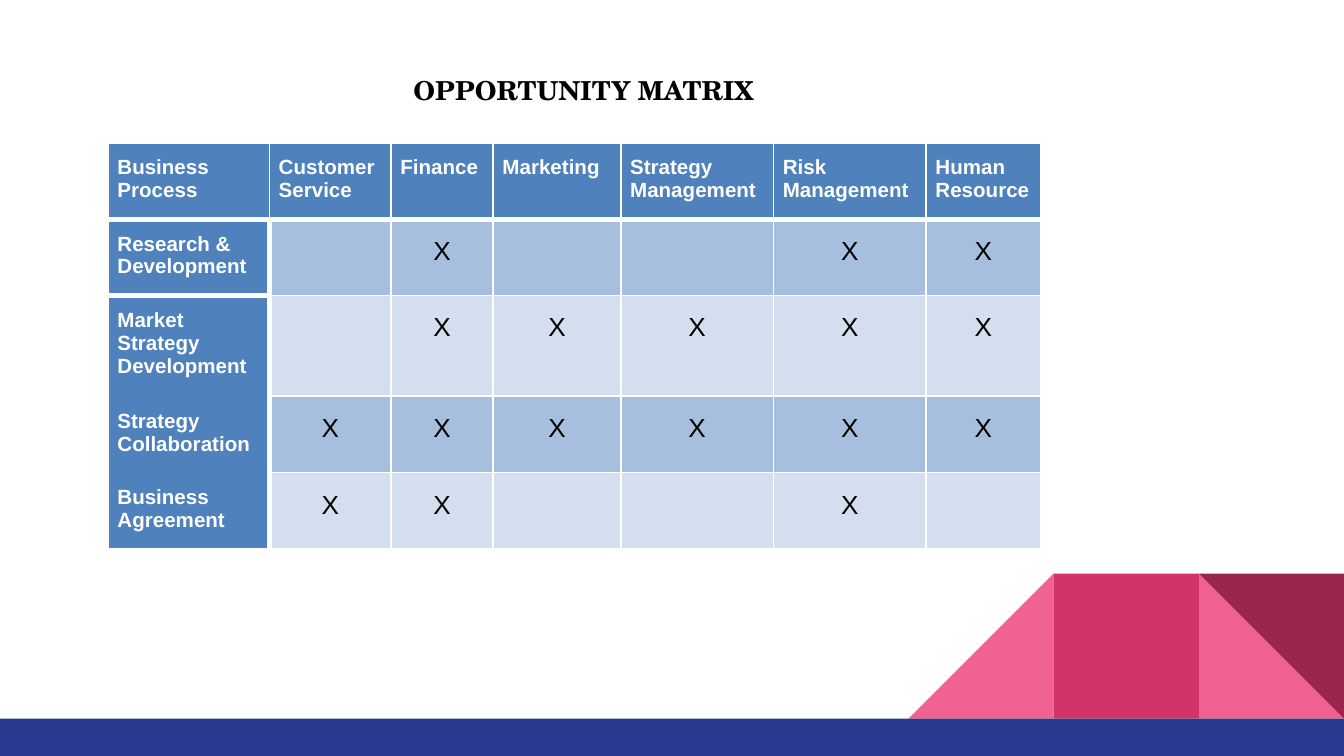
from dataclasses import dataclass
from typing import Optional

from lxml import etree
from pptx import Presentation
from pptx.dml.color import RGBColor
from pptx.enum import shapes, text
from pptx.oxml import ns
from pptx.util import Pt


@dataclass(frozen=True)
class Theme:
    """Colours, fonts and type sizes of the slide."""
    white: str = "FFFFFF"
    black: str = "000000"
    header: str = "4F81BD"
    bands: tuple[str, str] = ("A7BFDE", "D3DFEE")
    light_pink: str = "F06292"
    pink: str = "D23369"
    maroon: str = "9C254D"
    navy: str = "2A3990"
    title_font: str = "TeX Gyre Schola"
    body_font: str = "Arial"
    title_size: float = 14
    header_size: float = 11
    mark_size: float = 14
    thin: float = 1
    thick: float = 3


@dataclass(frozen=True)
class Block:
    """A plain decorative shape."""
    kind: shapes.MSO_SHAPE
    left: float
    top: float
    width: float
    height: float
    color: str
    rotation: float = 0


@dataclass(frozen=True)
class Process:
    """A table row: its name, height and one mark per department."""
    name: str
    height: float
    marks: str


THEME = Theme()
TILE, TILE_TOP, TILE_LEFT = 77.75, 307.25, 486.75
TRIANGLE, RECTANGLE = shapes.MSO_SHAPE.RIGHT_TRIANGLE, shapes.MSO_SHAPE.RECTANGLE


def tile(kind: shapes.MSO_SHAPE, column: int, color: str, rotation: float = 0) -> Block:
    """Return a square block in the given column of the corner ornament."""
    return Block(kind, TILE_LEFT + column * TILE, TILE_TOP, TILE, TILE, color, rotation)


BLOCKS = [
    tile(TRIANGLE, 2, THEME.light_pink),
    tile(TRIANGLE, 0, THEME.light_pink, 270),
    tile(RECTANGLE, 1, THEME.pink),
    tile(TRIANGLE, 2, THEME.maroon, 180),
    Block(RECTANGLE, 0, 385, 720, 20, THEME.navy),
]
HEADINGS = ["Business Process", "Customer Service", "Finance", "Marketing",
            "Strategy Management", "Risk Management", "Human Resource"]
COLUMN_WIDTHS = [86.4, 65.2, 54.7, 68.4, 81.8, 81.8, 61.4]
HEADER_HEIGHT = 38.8
PROCESSES = [
    Process("Research & Development", 38.8, "-X--XX"),
    Process("Market Strategy Development", 51.2, "-XXXXX"),
    Process("Strategy Collaboration", 38.8, "XXXXXX"),
    Process("Business Agreement", 38.8, "XX--X-"),
]


def style(paragraph, font: str, size: float, color: str, bold: bool) -> None:
    """Set the font of a paragraph."""
    paragraph.font.name = font
    paragraph.font.size = Pt(size)
    paragraph.font.bold = bold
    paragraph.font.color.rgb = RGBColor.from_string(color)


def draw_block(slide, block: Block) -> None:
    """Draw a decorative shape without outline or shadow."""
    shape = slide.shapes.add_shape(block.kind, Pt(block.left), Pt(block.top),
                                   Pt(block.width), Pt(block.height))
    shape.rotation = block.rotation
    shape.shadow.inherit = False
    shape.fill.solid()
    shape.fill.fore_color.rgb = RGBColor.from_string(block.color)
    shape.line.fill.background()


def draw_title(slide) -> None:
    """Draw the slide title."""
    frame = slide.shapes.add_textbox(Pt(210), Pt(36), Pt(236), Pt(24)).text_frame
    frame.word_wrap = True
    frame.vertical_anchor = text.MSO_ANCHOR.MIDDLE
    frame.margin_left = Pt(11.5)
    frame.margin_top = frame.margin_bottom = 0
    frame.text = "OPPORTUNITY MATRIX"
    style(frame.paragraphs[0], THEME.title_font, THEME.title_size, THEME.black, True)


def set_border(cell, side: str, width: Optional[float]) -> None:
    """Add a white border to one side of a cell, or an empty one."""
    properties = cell._tc.get_or_add_tcPr()
    line = etree.SubElement(properties, ns.qn(f"a:ln{side}"))
    if width is None:
        etree.SubElement(line, ns.qn("a:noFill"))
        return
    line.set("w", str(Pt(width)))
    fill = etree.SubElement(line, ns.qn("a:solidFill"))
    etree.SubElement(fill, ns.qn("a:srgbClr")).set("val", THEME.white)


def edge_below(row: int, column: int) -> Optional[float]:
    """Return the border width under a cell; row -1 is the top edge."""
    if row == 0 or (row == 1 and column == 0):
        return THEME.thick
    return None if column == 0 and row in (2, 3) else THEME.thin


def edge_right(row: int, column: int) -> float:
    """Return the border width right of a cell; column -1 is the left edge."""
    return THEME.thick if column == 0 and row > 0 else THEME.thin


def fill_cell(cell, row: int, column: int, label: str) -> None:
    """Give a cell its borders, fill and text."""
    heading = row == 0 or column == 0
    set_border(cell, "L", edge_right(row, column - 1))
    set_border(cell, "R", edge_right(row, column))
    set_border(cell, "T", edge_below(row - 1, column))
    set_border(cell, "B", edge_below(row, column))
    cell.fill.solid()
    color = THEME.header if heading else THEME.bands[(row - 1) % 2]
    cell.fill.fore_color.rgb = RGBColor.from_string(color)
    cell.margin_left = cell.margin_right = Pt(5)
    cell.margin_top = cell.margin_bottom = Pt(7.2)
    cell.text = label
    paragraph = cell.text_frame.paragraphs[0]
    if heading:
        style(paragraph, THEME.body_font, THEME.header_size, THEME.white, True)
    else:
        style(paragraph, THEME.body_font, THEME.mark_size, THEME.black, False)
        paragraph.alignment = text.PP_ALIGN.CENTER
        paragraph.line_spacing = 1.15


def draw_matrix(slide) -> None:
    """Draw the matrix of processes and departments."""
    rows = [HEADINGS] + [[process.name, *process.marks.replace("-", " ")] for process in PROCESSES]
    heights = [HEADER_HEIGHT] + [process.height for process in PROCESSES]
    table = slide.shapes.add_table(len(rows), len(HEADINGS), Pt(57.9), Pt(76.5),
                                   Pt(sum(COLUMN_WIDTHS)), Pt(sum(heights))).table
    table.first_row = table.horz_banding = False
    for column, width in zip(table.columns, COLUMN_WIDTHS):
        column.width = Pt(width)
    for row, (labels, height) in enumerate(zip(rows, heights)):
        table.rows[row].height = Pt(height)
        for column, label in enumerate(labels):
            fill_cell(table.cell(row, column), row, column, label.strip())


def main() -> None:
    """Build and save the presentation."""
    presentation = Presentation()
    presentation.slide_width, presentation.slide_height = Pt(720), Pt(405)
    slide = presentation.slides.add_slide(presentation.slide_layouts[6])
    for block in BLOCKS:
        draw_block(slide, block)
    draw_title(slide)
    draw_matrix(slide)
    presentation.save("out.pptx")


if __name__ == "__main__":
    main()
